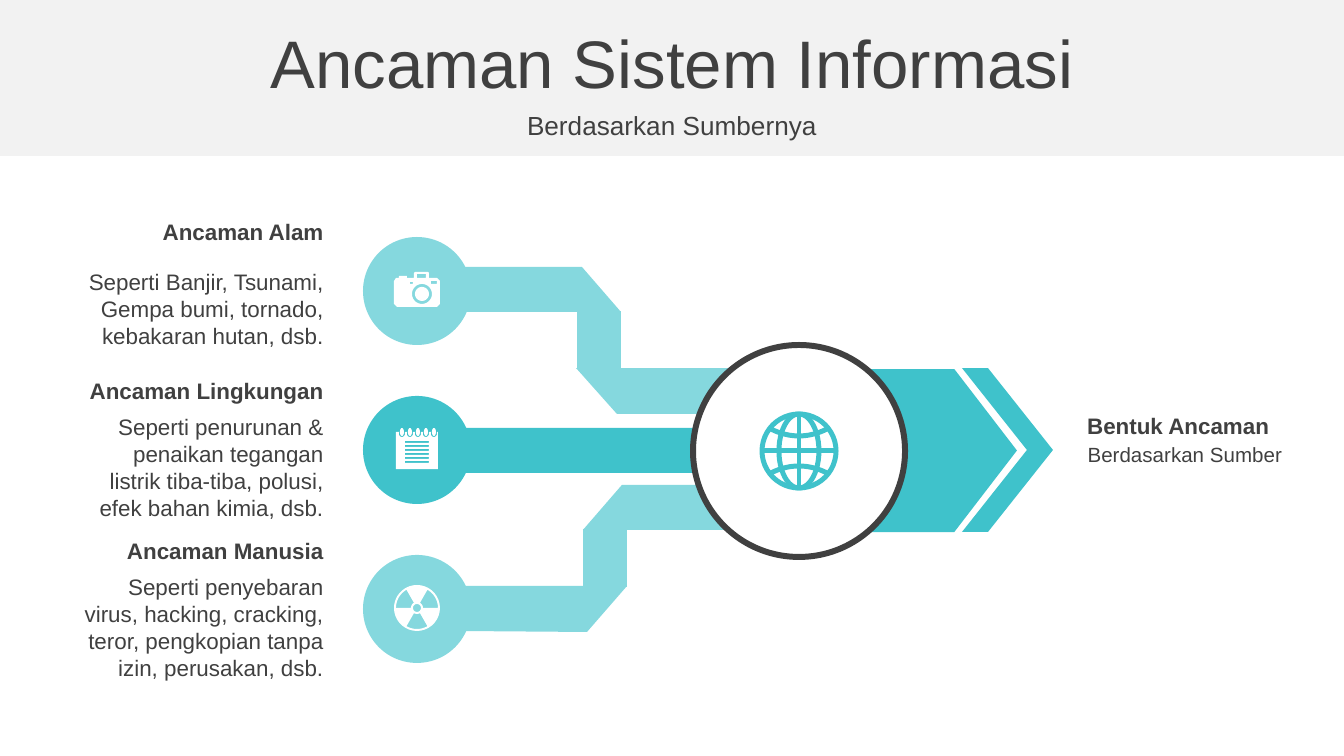
import math

import lxml.etree
import pptx
import pptx.dml.color
import pptx.enum.shapes
import pptx.enum.text
import pptx.oxml.ns
import pptx.util

SHAPE = pptx.enum.shapes.MSO_SHAPE
ALIGN = pptx.enum.text.PP_ALIGN
PX = 914400 / 134.4
COLOURS = {
    "band": "F2F2F2",
    "ink": "404040",
    "light": "85D8DE",
    "teal": "3FC2CB",
    "white": "FFFFFF",
}


def emu(length):
    return pptx.util.Emu(round(length * PX))


def colour(name):
    return pptx.dml.color.RGBColor.from_string(COLOURS[name])


def rectangle(left, top, right, bottom):
    return [(left, top), (right, top), (right, bottom), (left, bottom)]


def arc(x, y, radius_x, radius_y, start=0, end=360):
    steps = 36
    angles = [math.radians(start + (end - start) * i / steps) for i in range(steps + 1)]
    return [(x + radius_x * math.cos(a), y - radius_y * math.sin(a)) for a in angles]


class SlideBuilder:
    font = "Arial"

    def __init__(self, deck):
        self.page = deck.slides.add_slide(deck.slide_layouts[5])

    def paint(self, shape, fill=None, line=None, width=0):
        shape.shadow.inherit = False
        if fill:
            shape.fill.solid()
            shape.fill.fore_color.rgb = colour(fill)
        else:
            shape.fill.background()
        if line:
            shape.line.color.rgb = colour(line)
            shape.line.width = emu(width)
        else:
            shape.line.fill.background()
        return shape

    def preset(self, kind, left, top, width, height, fill=None, line=None, thickness=0, adjust=None):
        shape = self.page.shapes.add_shape(kind, emu(left), emu(top), emu(width), emu(height))
        if adjust is not None:
            shape.adjustments[0] = adjust
        return self.paint(shape, fill, line, thickness)

    def outline(self, contours, fill=None, line=None, thickness=0, closed=True):
        outlines = [[(emu(x), emu(y)) for x, y in contour] for contour in contours]
        builder = self.page.shapes.build_freeform(*outlines[0][0])
        for index, points in enumerate(outlines):
            if index:
                builder.move_to(*points[0])
            builder.add_line_segments(points[1:], close=closed)
        return self.paint(builder.convert_to_shape(), fill, line, thickness)

    def connector(self, x1, y1, x2, y2, line, thickness):
        link = self.page.shapes.add_connector(
            pptx.enum.shapes.MSO_CONNECTOR.STRAIGHT, emu(x1), emu(y1), emu(x2), emu(y2))
        link.line.color.rgb = colour(line)
        link.line.width = emu(thickness)
        properties = link.element.find(pptx.oxml.ns.qn("p:spPr"))
        lxml.etree.SubElement(properties, pptx.oxml.ns.qn("a:effectLst"))

    def format_text(self, box, text, size, align, bold=False):
        frame = box.text_frame
        frame.text = text
        frame.word_wrap = True
        frame.auto_size = pptx.enum.text.MSO_AUTO_SIZE.NONE
        frame.vertical_anchor = pptx.enum.text.MSO_ANCHOR.MIDDLE
        para = frame.paragraphs[0]
        para.alignment = align
        span = para.runs[0]
        span.font.name = self.font
        span.font.size = pptx.util.Pt(size)
        span.font.bold = bold
        span.font.color.rgb = colour("ink")

    def text(self, left, top, width, height, text, size, align, bold=False):
        box = self.page.shapes.add_textbox(emu(left), emu(top), emu(width), emu(height))
        self.format_text(box, text, size, align, bold)

    def title(self, left, top, width, height, text, size):
        box = self.page.shapes.title
        box.left, box.top, box.width, box.height = map(emu, (left, top, width, height))
        self.format_text(box, text, size, ALIGN.CENTER)

    def camera(self, x, y):
        body = [(-23, -10), (-21, -13), (-18, -13), (-18, -15), (-10, -15), (-10, -13),
                (-3, -13), (-3, -18), (-2, -19), (11, -19), (12, -18), (12, -13),
                (20, -13), (23, -10), (23, 13), (20, 16), (-20, 16), (-23, 13)]
        contours = [
            [(x + dx, y + dy) for dx, dy in body],
            rectangle(x, y - 17, x + 9, y - 13),
            rectangle(x + 14, y - 10, x + 20, y - 7),
            rectangle(x - 7, y - 9, x - 4, y - 7),
            arc(x + 5, y + 3, 10, 10),
            arc(x + 5, y + 3, 7, 7),
        ]
        self.outline(contours, "white")

    def notepad(self, x, y):
        rings = [x + step for step in range(-15, 18, 8)]
        top = y - 18
        edge = [(x - 21, top)]
        for ring in rings:
            edge += [(ring - 3, top), (ring - 3, top + 3), (ring - 1, top + 5),
                     (ring + 1, top + 5), (ring + 3, top + 3), (ring + 3, top)]
        edge += [(x + 21, top), (x + 21, y + 19), (x - 21, y + 19)]
        rules = [rectangle(x - 12, row, x + 12, row + 2) for row in range(y - 9, y + 15, 4)]
        self.outline([edge] + rules + [arc(ring, top, 2, 4) for ring in rings], "white")

    def radiation(self, x, y):
        sectors = [arc(x, y, 21, 21, start, start + 60) + arc(x, y, 6, 6, start + 60, start)
                   for start in (0, 120, 240)]
        self.outline([arc(x, y, 23, 23)] + sectors + [arc(x, y, 4, 4)], "white")

    def globe(self, x, y):
        for radius in (37, 20):
            self.preset(SHAPE.OVAL, x - radius, y - 37, 2 * radius, 74, None, "teal", 5)
        self.connector(x, y - 37, x, y + 37, "teal", 5)
        self.connector(x - 37, y, x + 37, y, "teal", 5)
        for side in (-1, 1):
            curve = [(x + dx, y + side * (15 + 8 * (dx / 30) ** 2)) for dx in range(-30, 31, 3)]
            self.outline([curve], None, "teal", 5, closed=False)


THREATS = [
    ("Ancaman Alam", 211, "Seperti Banjir, Tsunami, Gempa bumi, tornado, kebakaran hutan, dsb.", 261, 95),
    ("Ancaman Lingkungan", 370,
     "Seperti penurunan & penaikan tegangan listrik tiba-tiba, polusi, efek bahan kimia, dsb.", 406, 122),
    ("Ancaman Manusia", 530,
     "Seperti penyebaran virus, hacking, cracking, teror, pengkopian tanpa izin, perusakan, dsb.", 566, 122),
]
RIBBONS = [
    [(576, 368), (746, 368), (746, 414), (617, 414)],
    [(465, 267), (582, 267), (621, 312), (465, 312)],
    rectangle(577, 311, 621, 369),
    [(627, 586), (458, 586), (458, 631), (587, 632)],
    [(739, 485), (622, 485), (583, 530), (739, 530)],
    rectangle(583, 529, 627, 587),
]


def main():
    deck = pptx.Presentation()
    deck.slide_width, deck.slide_height = emu(1344), emu(756)
    slide = SlideBuilder(deck)

    band = slide.preset(SHAPE.RECTANGLE, 0, 0, 1344, 156, "band")
    slide.page.shapes.title.element.addprevious(band.element)
    slide.title(0, 19, 1344, 85, "Ancaman Sistem Informasi", 36)
    slide.text(0, 104, 1344, 42, "Berdasarkan Sumbernya", 14, ALIGN.CENTER)

    for ribbon in RIBBONS:
        slide.outline([ribbon], "light")
    for row, fill in enumerate(("light", "teal", "light")):
        slide.preset(SHAPE.OVAL, 363, 237 + 159 * row, 108, 108, fill)
    slide.notepad(417, 450)
    slide.radiation(417, 608)
    slide.camera(417, 291)

    for heading, heading_top, detail, detail_top, height in THREATS:
        slide.text(65, detail_top, 272, height, detail, 12, ALIGN.RIGHT)
        slide.text(65, heading_top, 272, 41, heading, 12, ALIGN.RIGHT, bold=True)

    slide.preset(SHAPE.PENTAGON, 852, 369, 165, 163, "teal", adjust=0.384)
    slide.preset(SHAPE.RECTANGLE, 461, 428, 284, 45, "teal")
    slide.preset(SHAPE.OVAL, 693, 345, 212, 212, "white", "ink", 6)
    slide.preset(SHAPE.CHEVRON, 962, 368, 91, 164, "teal", adjust=0.714)
    slide.text(1074, 434, 222, 40, "Berdasarkan Sumber", 11, ALIGN.CENTER)
    slide.text(1074, 405, 222, 41, "Bentuk Ancaman", 12, ALIGN.LEFT, bold=True)
    slide.globe(799, 451)

    deck.save("out.pptx")


if __name__ == "__main__":
    main()
